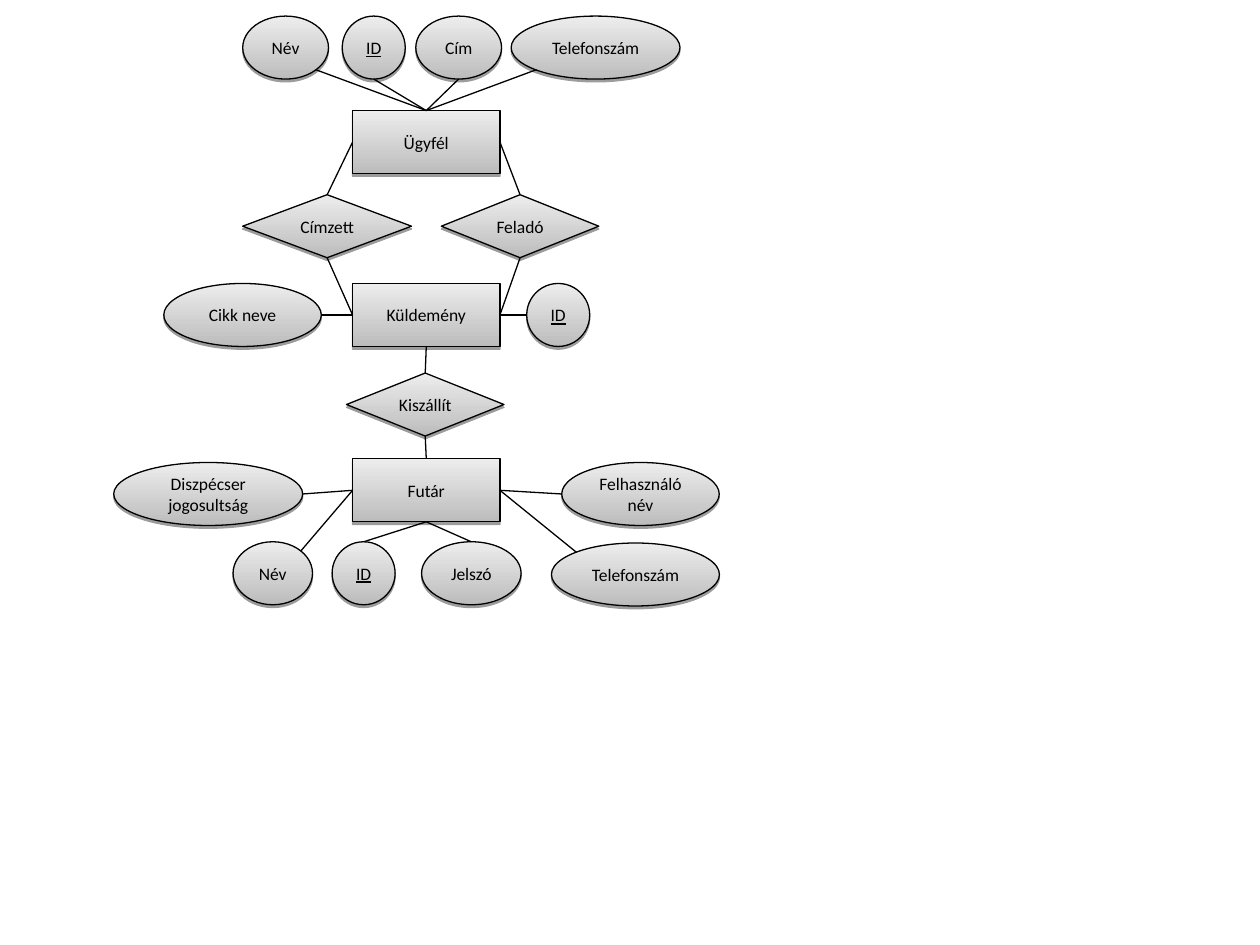
from lxml.etree import SubElement
from pptx import Presentation
from pptx.dml.color import RGBColor
from pptx.enum.shapes import MSO_CONNECTOR, MSO_SHAPE
from pptx.enum.text import MSO_ANCHOR, PP_ALIGN
from pptx.oxml.ns import qn
from pptx.util import Pt

BLACK = RGBColor(0x00, 0x00, 0x00)
DARK_GREY = RGBColor(0xBC, 0xBC, 0xBC)
LIGHT_GREY = RGBColor(0xED, 0xED, 0xED)

NODE_HEIGHT = 36
ENTITY_LEFT, ENTITY_WIDTH = 201.5, 84.2
LINE_WIDTH = 0.75
CUSTOMER_ATTRIBUTES_TOP, COURIER_SIDES_TOP, COURIER_ATTRIBUTES_TOP = 9.2, 264.3, 309.6
CUSTOMER_TOP, ROLES_TOP, PARCEL_TOP, DELIVERS_TOP, COURIER_TOP = 63.2, 111.3, 162, 213.2, 262.2

SIDES = {
    "top": (0.5, 0), "bottom": (0.5, 1), "left": (0, 0.5), "right": (1, 0.5),
    "top left": (0.15, 0.15), "top right": (0.85, 0.15),
    "bottom left": (0.15, 0.85), "bottom right": (0.85, 0.85),
}


def add_shadow(node):
    node.shadow.inherit = False
    effects = node._element.spPr.find(qn("a:effectLst"))
    shadow = SubElement(effects, qn("a:outerShdw"), blurRad="0", dist=str(Pt(1.6)),
                        dir="5400000", rotWithShape="0")
    color = SubElement(shadow, qn("a:srgbClr"), val=str(BLACK))
    SubElement(color, qn("a:alpha"), val="38000")


def add_node(slide, kind, label, left, top, width, is_key=False):
    node = slide.shapes.add_shape(kind, Pt(left), Pt(top), Pt(width), Pt(NODE_HEIGHT))
    node.fill.gradient()
    node.fill.gradient_angle = 90
    for stop, color in zip(node.fill.gradient_stops, (DARK_GREY, LIGHT_GREY)):
        stop.color.rgb = color
    node.line.color.rgb = BLACK
    node.line.width = Pt(LINE_WIDTH)
    add_shadow(node)

    frame = node.text_frame
    frame.word_wrap = True
    frame.vertical_anchor = MSO_ANCHOR.MIDDLE
    paragraph = frame.paragraphs[0]
    paragraph.text = label
    paragraph.alignment = PP_ALIGN.CENTER
    font = paragraph.font
    font.name, font.size, font.color.rgb = "Calibri", Pt(10), BLACK
    if is_key:
        paragraph.runs[0].font.underline = True
    return node


def add_entity(slide, label, top):
    return add_node(slide, MSO_SHAPE.FLOWCHART_PROCESS, label, ENTITY_LEFT, top, ENTITY_WIDTH)


def add_relation(slide, label, left, top, width):
    return add_node(slide, MSO_SHAPE.FLOWCHART_DECISION, label, left, top, width)


def add_attribute(slide, label, left, top, width):
    return add_node(slide, MSO_SHAPE.FLOWCHART_CONNECTOR, label, left, top, width)


def add_key(slide, left, top):
    return add_node(slide, MSO_SHAPE.FLOWCHART_CONNECTOR, "ID", left, top, NODE_HEIGHT, True)


def anchor(node, side):
    across, down = SIDES[side]
    return int(node.left + across * node.width), int(node.top + down * node.height)


def add_link(slide, start, start_side, end, end_side):
    link = slide.shapes.add_connector(MSO_CONNECTOR.STRAIGHT, *anchor(start, start_side),
                                      *anchor(end, end_side))
    link.line.color.rgb = BLACK
    link.line.width = Pt(LINE_WIDTH)
    SubElement(link._element.spPr, qn("a:effectLst"))


def main():
    """Build the entity-relationship diagram of a courier service."""
    presentation = Presentation()
    presentation.slide_width, presentation.slide_height = Pt(720), Pt(540)
    slide = presentation.slides.add_slide(presentation.slide_layouts[6])

    customer = add_entity(slide, "Ügyfél", CUSTOMER_TOP)
    customer_name = add_attribute(slide, "Név", 138.7, CUSTOMER_ATTRIBUTES_TOP, 49)
    customer_id = add_key(slide, 195.6, CUSTOMER_ATTRIBUTES_TOP)
    address = add_attribute(slide, "Cím", 237.6, CUSTOMER_ATTRIBUTES_TOP, 49)
    customer_phone = add_attribute(slide, "Telefonszám", 292.1, CUSTOMER_ATTRIBUTES_TOP, 96.5)

    recipient = add_relation(slide, "Címzett", 138.7, ROLES_TOP, 96.5)
    sender = add_relation(slide, "Feladó", 252.2, ROLES_TOP, 90)

    parcel = add_entity(slide, "Küldemény", PARCEL_TOP)
    item_name = add_attribute(slide, "Cikk neve", 93.6, PARCEL_TOP, 90)
    parcel_id = add_key(slide, 301, PARCEL_TOP)

    delivers = add_relation(slide, "Kiszállít", 198, DELIVERS_TOP, 90)

    courier = add_entity(slide, "Futár", COURIER_TOP)
    dispatcher_right = add_attribute(slide, "Diszpécser jogosultság", 65, COURIER_SIDES_TOP, 108)
    username = add_attribute(slide, "Felhasználónév", 321, COURIER_SIDES_TOP, 90)
    courier_name = add_attribute(slide, "Név", 133.2, COURIER_ATTRIBUTES_TOP, 45.4)
    courier_id = add_key(slide, 189.8, COURIER_ATTRIBUTES_TOP)
    password = add_attribute(slide, "Jelszó", 240.9, COURIER_ATTRIBUTES_TOP, 56.9)
    courier_phone = add_attribute(slide, "Telefonszám", 315.1, COURIER_ATTRIBUTES_TOP + 0.7, 96)

    links = [
        (customer, "top", customer_name, "bottom right"),
        (customer, "top", customer_id, "bottom"),
        (customer, "top", address, "bottom"),
        (customer, "top", customer_phone, "bottom left"),
        (customer, "left", recipient, "top"),
        (customer, "right", sender, "top"),
        (parcel, "left", recipient, "bottom"),
        (parcel, "right", sender, "bottom"),
        (parcel, "left", item_name, "right"),
        (parcel, "right", parcel_id, "left"),
        (parcel, "bottom", delivers, "top"),
        (courier, "top", delivers, "bottom"),
        (courier, "left", dispatcher_right, "right"),
        (courier, "right", username, "left"),
        (courier, "left", courier_name, "top right"),
        (courier, "bottom", courier_id, "top"),
        (courier, "bottom", password, "top"),
        (courier, "right", courier_phone, "top left"),
    ]
    for link in links:
        add_link(slide, *link)

    presentation.save("out.pptx")


if __name__ == "__main__":
    main()
